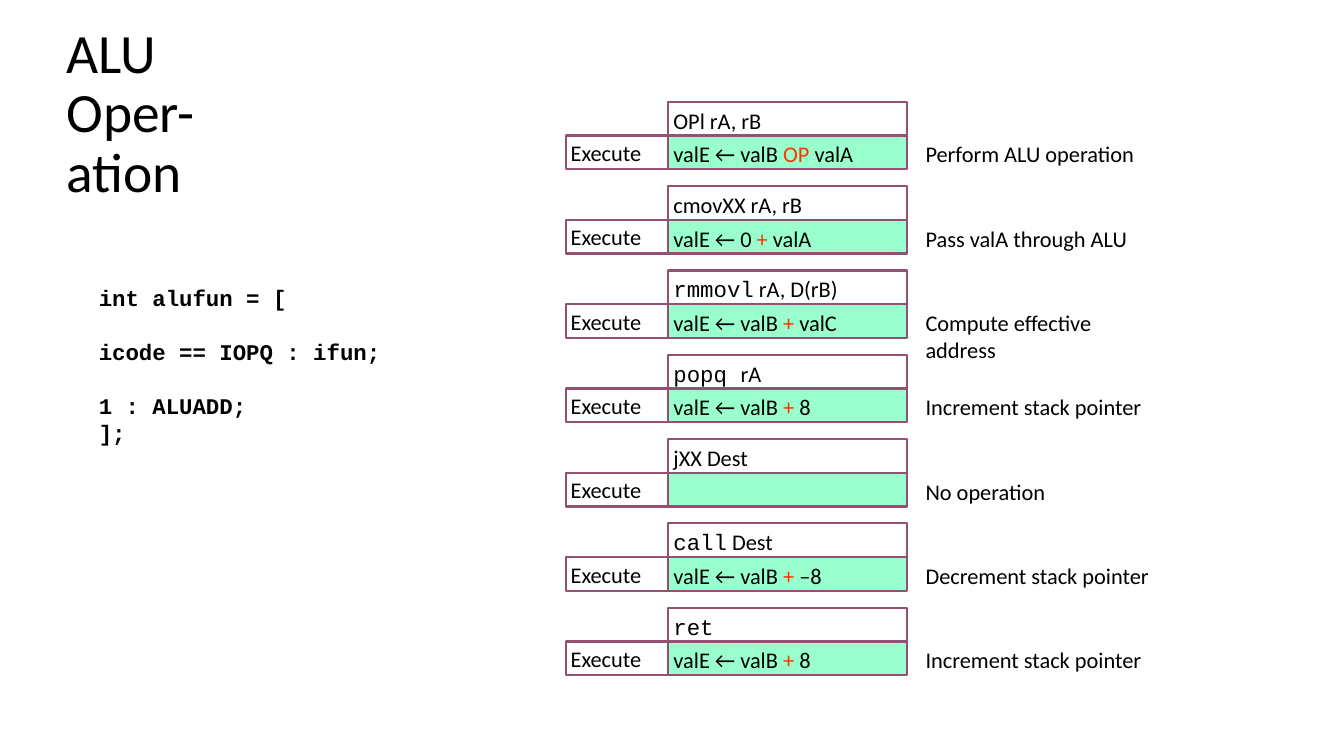
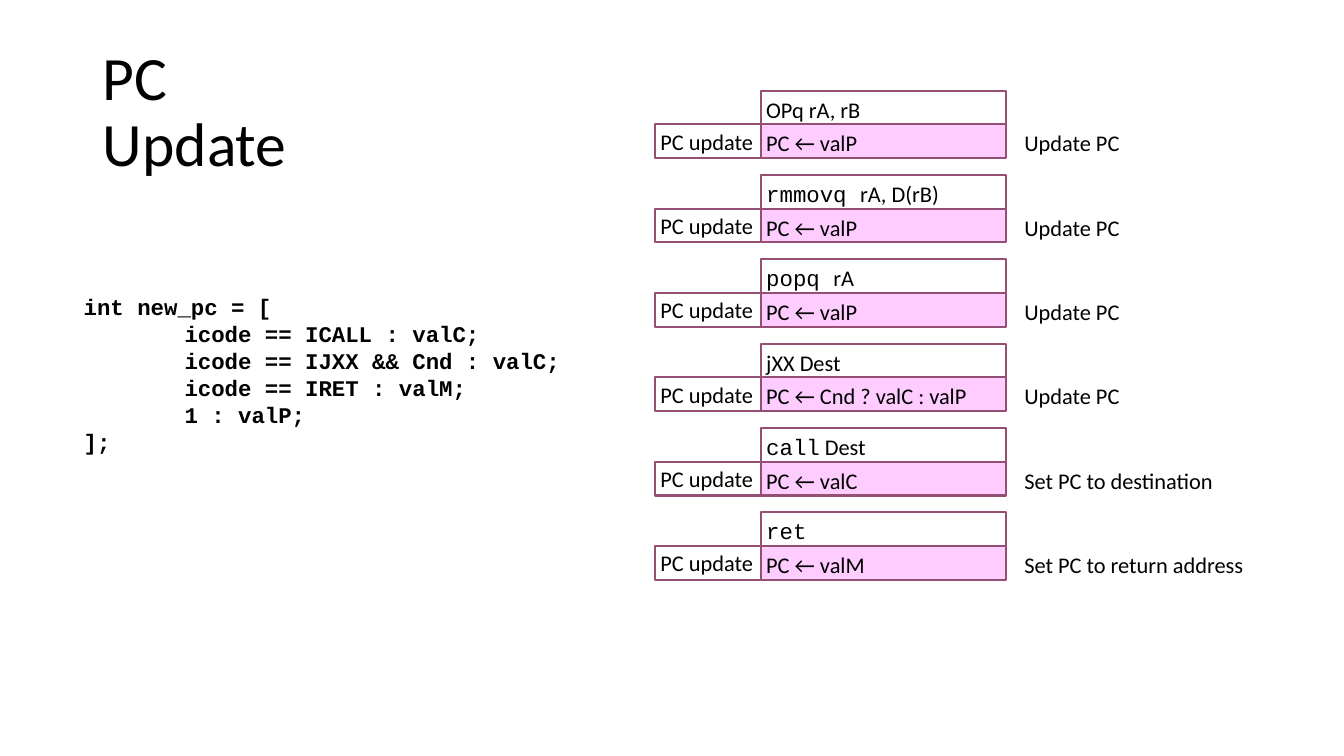
from pptx import Presentation
from pptx.dml.color import RGBColor as RGB
from pptx.enum.shapes import MSO_SHAPE as Shape
from pptx.enum.text import MSO_ANCHOR as Anchor, MSO_AUTO_SIZE as Fit, PP_ALIGN as Align
from pptx.util import Inches, Pt

COLORS = {"ink": "000000", "edge": "954F72", "red": "FF3300",
          "green": "99FFCC", "pink": "FFCCFF"}
BODY = {"name": "Calibri", "size": Pt(16), "color": "ink"}
RED = {**BODY, "color": "red"}
MONO = {**BODY, "name": "Courier New"}
CODE = {**MONO, "bold": True}
INSET = dict.fromkeys(
    ("margin_left", "margin_top", "margin_right", "margin_bottom"), Inches(0.05))
LEAD = Pt(19.3)
STEP = 5.02 / 6    # distance from one instruction to the next
CELL = STEP * 0.4  # two cells and half a cell of gap per step
GAP = 0.13         # between the cells and the note

ALU_CODE = [  # text, indent in inches, lines of space before
    ("int alufun = [", 0, 0),
    ("icode == IOPQ : ifun;", 0, 1),
    ("1 : ALUADD;", 0, 1),
    ("];", 0, 0),
]
PC_CODE = [
    ("int new_pc = [", 0, 0),
    ("icode == ICALL : valC;", 1, 0),
    ("icode == IJXX && Cnd : valC;", 1, 0),
    ("icode == IRET : valM;", 1, 0),
    ("1 : valP;", 1, 0),
    ("];", 0, 0),
]
ALU_ROWS = [  # instruction, step, note; bars enclose the accented part
    ("OPl rA, rB", "valE ← valB |OP| valA", "Perform ALU operation"),
    ("cmovXX rA, rB", "valE ← 0 |+ |valA", "Pass valA through ALU"),
    ("|rmmovl| rA, D(rB)", "valE ← valB |+| valC", "Compute effective address"),
    ("|popq |rA", "valE ← valB |+| 8", "Increment stack pointer"),
    ("jXX Dest", "", "No operation"),
    ("|call| Dest", "valE ← valB |+| –8", "Decrement stack pointer"),
    ("|ret|", "valE ← valB |+| 8", "Increment stack pointer"),
]
PC_ROWS = [
    ("OPq rA, rB", "PC ← valP", "Update PC"),
    ("|rmmovq |rA, D(rB)", "PC ← valP", "Update PC"),
    ("|popq |rA", "PC ← valP", "Update PC"),
    ("jXX Dest", "PC ← Cnd ? valC : valP", "Update PC"),
    ("|call| Dest", "PC ← valC", "Set PC to destination"),
    ("|ret|", "PC ← valM", "Set PC to return address"),
]


def rgb(name):
    return RGB.from_string(COLORS[name])


def style(font, look):
    for key, value in look.items():
        if key == "color":
            font.color.rgb = rgb(value)
        else:
            setattr(font, key, value)


def frame(shape, anchor=Anchor.TOP):
    """Return the shape's text frame, wrapped and with narrow margins."""
    text = shape.text_frame
    looks = {**INSET, "word_wrap": True, "vertical_anchor": anchor}
    for key, value in looks.items():
        setattr(text, key, value)
    return text


def fill_text(text, words, accent):
    """Write one line, with the parts between bars in the accent look."""
    para = text.paragraphs[0]
    para.alignment = Align.LEFT
    for i, part in enumerate(words.split("|")):
        if part:
            run = para.add_run()
            run.text = part
            style(run.font, accent if i % 2 else BODY)


def add_cell(slide, box, words, fill=None, accent=BODY, anchor=Anchor.TOP):
    cell = slide.shapes.add_shape(Shape.RECTANGLE, *map(Inches, box))
    cell.shadow.inherit = False
    if fill:
        cell.fill.solid()
        cell.fill.fore_color.rgb = rgb(fill)
    else:
        cell.fill.background()
    cell.line.color.rgb = rgb("edge")
    cell.line.width = Pt(1.5)
    fill_text(frame(cell, anchor), words, accent)


def add_note(slide, box, words):
    note = slide.shapes.add_textbox(*map(Inches, box))
    fill_text(frame(note), words, BODY)


def add_rows(slide, rows, stage, fill, left, top, label, width):
    """Stack the instructions, each with a stage label, a step and a note."""
    mid = left + label
    for i, (head, step, note) in enumerate(rows):
        y = top + i * STEP
        low = y + CELL
        add_cell(slide, (mid, y, width, CELL), head, accent=MONO)
        add_cell(slide, (left, low, label, CELL), stage, anchor=Anchor.MIDDLE)
        add_cell(slide, (mid, low, width, CELL), step, fill, RED)
        add_note(slide, (mid + width + GAP, low, width, CELL), note)


def add_code(slide, box, lines):
    text = frame(slide.shapes.add_textbox(*map(Inches, box)))
    for i, (words, indent, skip) in enumerate(lines):
        para = text.add_paragraph() if i else text.paragraphs[0]
        para.line_spacing = LEAD
        if indent:
            para._p.get_or_add_pPr().set("marL", str(Inches(indent)))
        if skip:
            para.space_before = skip * LEAD
        run = para.add_run()
        run.text = words
        style(run.font, CODE)


def add_slide(deck, words, box, size):
    slide = deck.slides.add_slide(deck.slide_layouts.get_by_name("Title Only"))
    title = slide.shapes.title
    title.left, title.top, title.width, title.height = map(Inches, box)
    text = title.text_frame
    text.auto_size = Fit.NONE
    text.vertical_anchor = Anchor.MIDDLE
    para = text.paragraphs[0]
    para.text = words
    para.alignment = Align.LEFT
    para.line_spacing = 0.9
    for run in para.runs:
        style(run.font, {**BODY, "size": Pt(size)})
    return slide


def main():
    deck = Presentation()
    deck.slide_width, deck.slide_height = Inches(13.33), Inches(7.5)

    alu = add_slide(deck, "ALU\nOper-\nation", (0.56, 0.45, 10.86, 1.38), 39.6)
    add_code(alu, (0.93, 2.77, 3.7, 1.72), ALU_CODE)
    add_rows(alu, ALU_ROWS, "Execute", "green", 5.61, 1.01, 1.02, 2.37)

    pc = add_slide(deck, "PC\nUpdate", (0.92, 0.4, 11.5, 1.45), 44)
    add_code(pc, (0.78, 2.86, 5.68, 1.72), PC_CODE)
    add_rows(pc, PC_ROWS, "PC update", "pink", 6.5, 0.9, 1.05, 2.43)

    deck.save("out.pptx")


if __name__ == "__main__":
    main()
